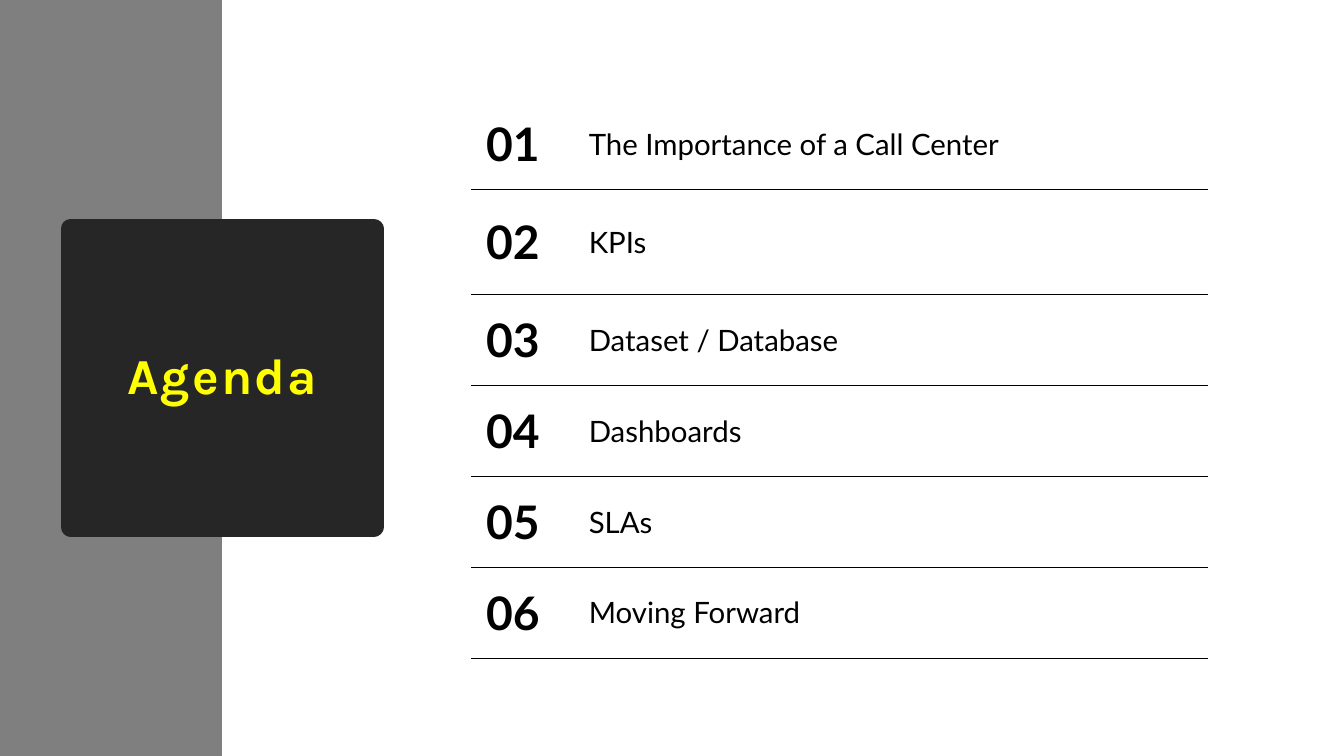
import pptx
import pptx.dml.color
import pptx.enum.shapes
import pptx.enum.text
import pptx.oxml.ns
import pptx.util
from lxml import etree

Pt = pptx.util.Pt
RGBColor = pptx.dml.color.RGBColor
MIDDLE = pptx.enum.text.MSO_ANCHOR.MIDDLE
ALIGN = pptx.enum.text.PP_ALIGN
SHAPE = pptx.enum.shapes.MSO_SHAPE
qn = pptx.oxml.ns.qn

GRAY = RGBColor(0x7F, 0x7F, 0x7F)
CHARCOAL = RGBColor(0x26, 0x26, 0x26)
YELLOW = RGBColor(0xFF, 0xFF, 0x00)
BLACK = RGBColor(0x00, 0x00, 0x00)

PLAIN_TABLE_STYLE = "{2D5ABB26-0587-4C30-8999-92F81FD0307C}"
TOPICS = [
    "The Importance of a Call Center",
    "KPIs",
    "Dataset / Database",
    "Dashboards",
    "SLAs",
    "Moving Forward",
]


def write_text(frame, text, font="Lato", size=21, color=BLACK, bold=False,
               align=ALIGN.LEFT, line_spacing=1.0, tracking=0):
    para = frame.paragraphs[0]
    para.alignment = align
    para.line_spacing = line_spacing
    span = para.add_run()
    span.text = text
    span.font.name = font
    span.font.size = Pt(size)
    span.font.bold = bold
    span.font.color.rgb = color
    if tracking:
        span.font._element.set("spc", str(int(tracking * 100)))


def add_block(page, left, top, width, height, color):
    block = page.shapes.add_shape(SHAPE.RECTANGLE, Pt(left), Pt(top), Pt(width), Pt(height))
    block.shadow.inherit = False
    block.fill.solid()
    block.fill.fore_color.rgb = color
    block.line.fill.background()
    return block


def add_title_panel(page, left, top, width, height):
    panel = add_block(page, left, top, width, height, CHARCOAL)
    panel.line.color.rgb = CHARCOAL
    panel.line.width = Pt(13.75)
    etree.SubElement(panel.line._get_or_add_ln(), qn("a:round"))
    frame = panel.text_frame
    frame.word_wrap = True
    frame.vertical_anchor = MIDDLE
    write_text(frame, "Agenda", font="Karla", size=36, color=YELLOW, bold=True,
               align=ALIGN.CENTER, line_spacing=0.9, tracking=1.5)


def add_bottom_rule(cell):
    rule = etree.Element(qn("a:lnB"), w=str(Pt(0.5)))
    fill = etree.SubElement(rule, qn("a:solidFill"))
    etree.SubElement(fill, qn("a:srgbClr"), val=str(BLACK))
    cell._tc.get_or_add_tcPr().insert(0, rule)


def add_agenda_table(page, left, top, width, number_width=73.4, row_height=64.9, second_row_height=75):
    heights = [second_row_height if row == 1 else row_height for row in range(len(TOPICS))]
    table = page.shapes.add_table(len(TOPICS), 2, Pt(left), Pt(top), Pt(width), Pt(sum(heights))).table
    table.first_row = False
    table.horz_banding = False
    table._tbl.tblPr.find(qn("a:tableStyleId")).text = PLAIN_TABLE_STYLE
    table.columns[0].width = Pt(number_width)
    table.columns[1].width = Pt(width - number_width)

    for row, (topic, height) in enumerate(zip(TOPICS, heights)):
        table.rows[row].height = Pt(height)
        for column, text in enumerate((f"{row + 1:02}", topic)):
            cell = table.cell(row, column)
            cell.vertical_anchor = MIDDLE
            cell.margin_left = cell.margin_right = Pt(10.8)
            cell.margin_top = cell.margin_bottom = Pt(10.8)
            cell.fill.background()
            add_bottom_rule(cell)
            is_number = column == 0
            write_text(cell.text_frame, text, size=33 if is_number else 21, bold=is_number)


def main():
    deck = pptx.Presentation()
    deck.slide_width = Pt(960)
    deck.slide_height = Pt(540)
    page = deck.slides.add_slide(deck.slide_layouts[6])
    add_block(page, 0, 0, 158.5, 540, GRAY)
    add_title_panel(page, 50.4, 163.4, 216.7, 213.1)
    add_agenda_table(page, 336.4, 70.5, 526.4)
    deck.save("out.pptx")


if __name__ == "__main__":
    main()
